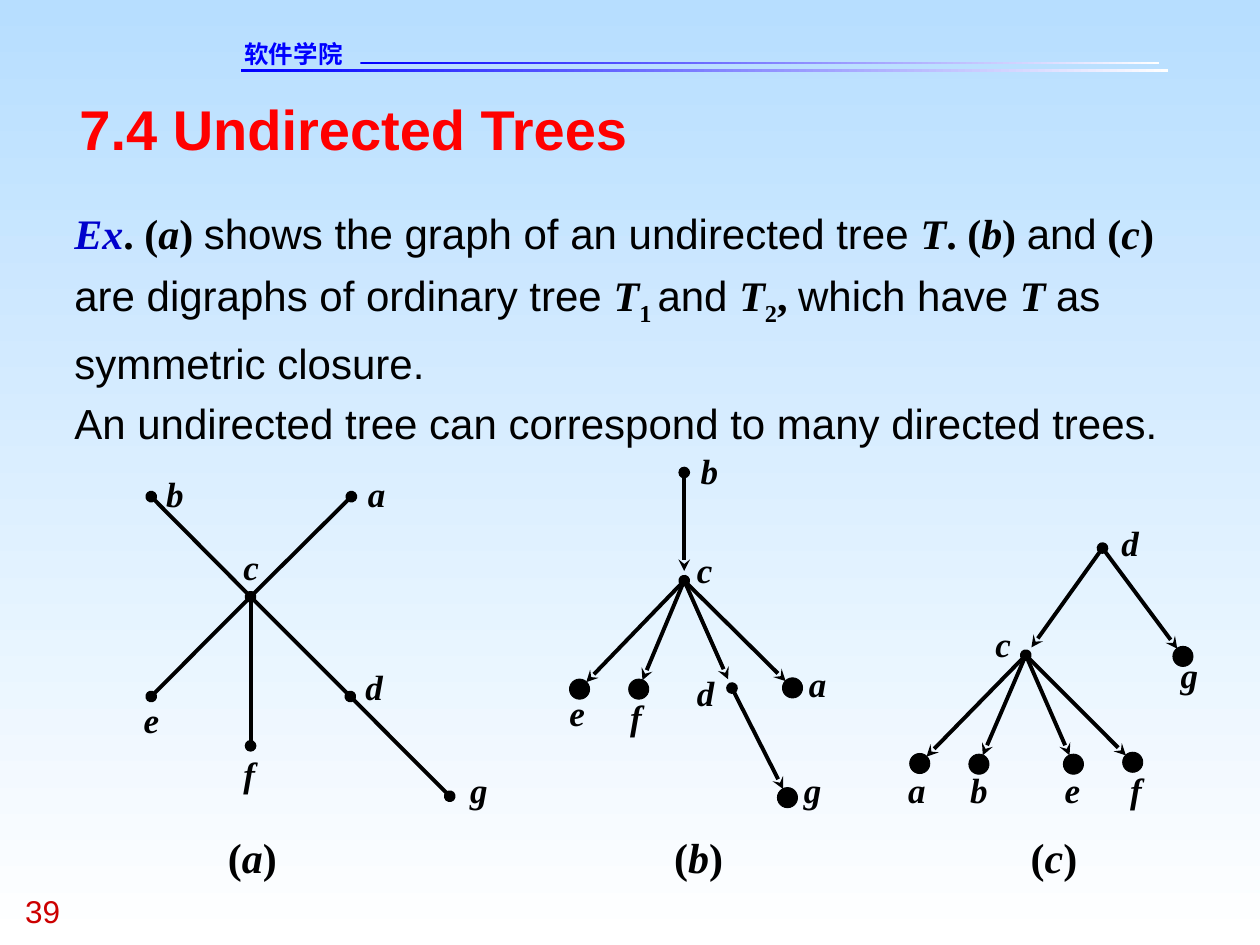
from dataclasses import dataclass
from math import hypot

from lxml import etree
from pptx import Presentation
from pptx.dml.color import RGBColor
from pptx.enum import shapes, text
from pptx.oxml import ns
from pptx.util import Pt


@dataclass(frozen=True)
class Theme:
    sans: str = "Arial"
    serif: str = "Times New Roman"
    cjk: str = "DejaVu Sans"
    black: str = "000000"
    white: str = "FFFFFF"
    sky: str = "B7DEFF"
    blue: str = "0000FF"
    navy: str = "0000CC"
    red: str = "FF0000"
    crimson: str = "CC0000"
    head: int = 32
    body: int = 24
    page: int = 18
    node: int = 20
    school: int = 14


T = Theme()

# Run styles: s = sans, b = bold serif, i = bold italic serif,
# x = blue bold italic serif, v = bold serif subscript
BODY = [
    [("x", "Ex"), ("b", ". ("), ("i", "a"), ("b", ") "),
     ("s", "shows the graph of an undirected tree "), ("i", "T"),
     ("b", ". ("), ("i", "b"), ("b", ") "), ("s", "and"), ("b", " ("),
     ("i", "c"), ("b", ") "), ("s", "are digraphs of ordinary tree "),
     ("i", "T"), ("v", "1 "), ("s", "and "), ("i", "T"), ("v", "2"),
     ("b", ", "), ("s", "which have "), ("i", "T "),
     ("s", "as symmetric closure.")],
    [("s", "An undirected tree can correspond to many directed trees.")],
]

# Header rules: left, top, width
RULES = [(137.5, 39.6, 530), (206, 35.3, 456.5)]

# Each node: centre x, centre y, label left, label top
TREES = [
    {"name": "a", "left": 130.3, "directed": False,
     "edges": "bc ac cd ce cf dg",
     "nodes": {"a": (200.8, 283.8, 210.2, 270), "b": (86.4, 283.8, 95, 270),
               "c": (143.2, 341, 139, 311.8), "d": (200.2, 398, 208.8, 380.2),
               "e": (86.4, 398, 82, 398.9), "f": (143.2, 426.2, 139, 429.8),
               "g": (257, 455, 268.6, 439.2)}},
    {"name": "b", "left": 385.2, "directed": True,
     "edges": "bc ce cf cd ca dg",
     "nodes": {"a": (452.9, 393.1, 462.2, 378.7), "b": (391, 270, 400.3, 257),
               "c": (391, 331.8, 398.2, 313.2),
               "d": (418.3, 393.2, 398.2, 383.8),
               "e": (331.2, 393.8, 325.4, 395.3),
               "f": (365, 393.8, 360, 397.4),
               "g": (450, 455.8, 459.4, 439.2)}},
    {"name": "c", "left": 589, "directed": True,
     "edges": "dc dg ca cb ce cf",
     "nodes": {"a": (525.6, 436.3, 519, 439.2),
               "b": (559.4, 436.7, 554.4, 439.2),
               "c": (586.2, 374.4, 568.8, 355.7),
               "d": (630, 313.2, 640.8, 298),
               "e": (613.4, 436.7, 608.4, 439.2),
               "f": (647.3, 435.6, 645.8, 439.2),
               "g": (676, 375.1, 674.6, 373.7)}},
]
GAP = 5.5      # from an arrow's tip to the centre of its node
DOT = 11.5     # diameter of a leaf in a directed tree
LINE = 2.25


def rgb(code):
    return RGBColor.from_string(code)


def blend(fill, first, last, angle):
    fill.gradient()
    fill.gradient_angle = angle
    for stop, code in zip(fill.gradient_stops, (first, last)):
        stop.color.rgb = rgb(code)


def write(para, words, size, font, color, bold=False, italic=False, sub=False):
    run = para.add_run()
    run.text = words
    run.font.size, run.font.name = Pt(size), font
    run.font.bold, run.font.italic = bold, italic
    run.font.color.rgb = rgb(color)
    if sub:
        run.font._element.set("baseline", "-25000")


def style(para, key, words, size):
    """Write a run in one of the body styles."""
    write(para, words, size, T.sans if key == "s" else T.serif,
          T.navy if key == "x" else T.black,
          bold=key != "s", italic=key in "ix", sub=key == "v")


def place(shape, left, top, wide, high):
    """Set a text shape's box, without margins, and return its frame."""
    shape.left, shape.top = Pt(left), Pt(top)
    shape.width, shape.height = Pt(wide), Pt(high)
    frame = shape.text_frame
    frame.margin_left = frame.margin_right = 0
    frame.margin_top = frame.margin_bottom = 0
    frame.word_wrap = True
    frame.auto_size = text.MSO_AUTO_SIZE.NONE
    frame.vertical_anchor = text.MSO_ANCHOR.TOP
    return frame


def box(slide, *area):
    return place(slide.shapes.add_textbox(0, 0, 0, 0), *area)


def link(slide, start, end, head, tail):
    line = slide.shapes.add_connector(
        shapes.MSO_CONNECTOR.STRAIGHT, *(Pt(v) for v in (*start, *end)))
    line.line.width = Pt(LINE)
    line.line.color.rgb = rgb(T.black)
    etree.SubElement(line._element.spPr, ns.qn("a:effectLst"))
    for tag, kind in (("a:headEnd", head), ("a:tailEnd", tail)):
        if kind:
            etree.SubElement(line.line._ln, ns.qn(tag), type=kind)


def dot(slide, x, y):
    disc = slide.shapes.add_shape(
        shapes.MSO_SHAPE.OVAL, Pt(x - DOT / 2), Pt(y - DOT / 2),
        Pt(DOT), Pt(DOT))
    disc.shadow.inherit = False
    disc.fill.solid()
    disc.fill.fore_color.rgb = disc.line.color.rgb = rgb(T.black)
    disc.line.width = Pt(0.5)


def draw(slide, tree):
    """Draw edges, marking each node once, then leaves, labels and caption."""
    nodes, done = tree["nodes"], set()

    def mark(name):
        fresh = name not in done
        done.add(name)
        return "oval" if fresh else None

    for one, two in tree["edges"].split():
        start, end = nodes[one][:2], nodes[two][:2]
        head = mark(one)
        if tree["directed"]:
            tail = "stealth"
            dx, dy = end[0] - start[0], end[1] - start[1]
            cut = GAP / hypot(dx, dy)
            end = (end[0] - dx * cut, end[1] - dy * cut)
        else:
            tail = mark(two)
        link(slide, start, end, head, tail)
    for name, (x, y, left, top) in nodes.items():
        if name not in done:
            dot(slide, x, y)
        label = box(slide, left, top, 10, 24)
        style(label.paragraphs[0], "i", name, T.node)
    para = box(slide, tree["left"], 475.2, 30, 28.8).paragraphs[0]
    for key, words in (("b", "("), ("i", tree["name"]), ("b", ")")):
        style(para, key, words, T.body)


def main():
    deck = Presentation()
    deck.slide_width, deck.slide_height = Pt(720), Pt(540)
    slide = deck.slides.add_slide(deck.slide_layouts[5])
    blend(slide.background.fill, T.sky, T.white, 270)

    for left, top, wide in RULES:
        rule = slide.shapes.add_shape(
            shapes.MSO_SHAPE.RECTANGLE, Pt(left), Pt(top), Pt(wide), Pt(1.6))
        rule.shadow.inherit = False
        rule.line.fill.background()
        blend(rule.fill, T.blue, T.white, 0)

    school = box(slide, 139.7, 22.3, 104.4, 16.6).paragraphs[0]
    write(school, "软件学院", T.school, T.cjk, T.blue, bold=True)
    page = box(slide, 14.4, 509.8, 54, 21.6).paragraphs[0]
    write(page, "39", T.page, T.sans, T.crimson)

    head = place(slide.shapes.title, 45.4, 54, 630, 38.2).paragraphs[0]
    head.alignment = text.PP_ALIGN.LEFT
    write(head, "7.4 Undirected Trees", T.head, T.sans, T.red, bold=True)

    body = box(slide, 42.5, 113, 644.4, 177.8)
    for num, runs in enumerate(BODY):
        para = body.add_paragraph() if num else body.paragraphs[0]
        para.line_spacing = 1.2
        for key, words in runs:
            style(para, key, words, T.body)

    for tree in TREES:
        draw(slide, tree)
    deck.save("out.pptx")


if __name__ == "__main__":
    main()
